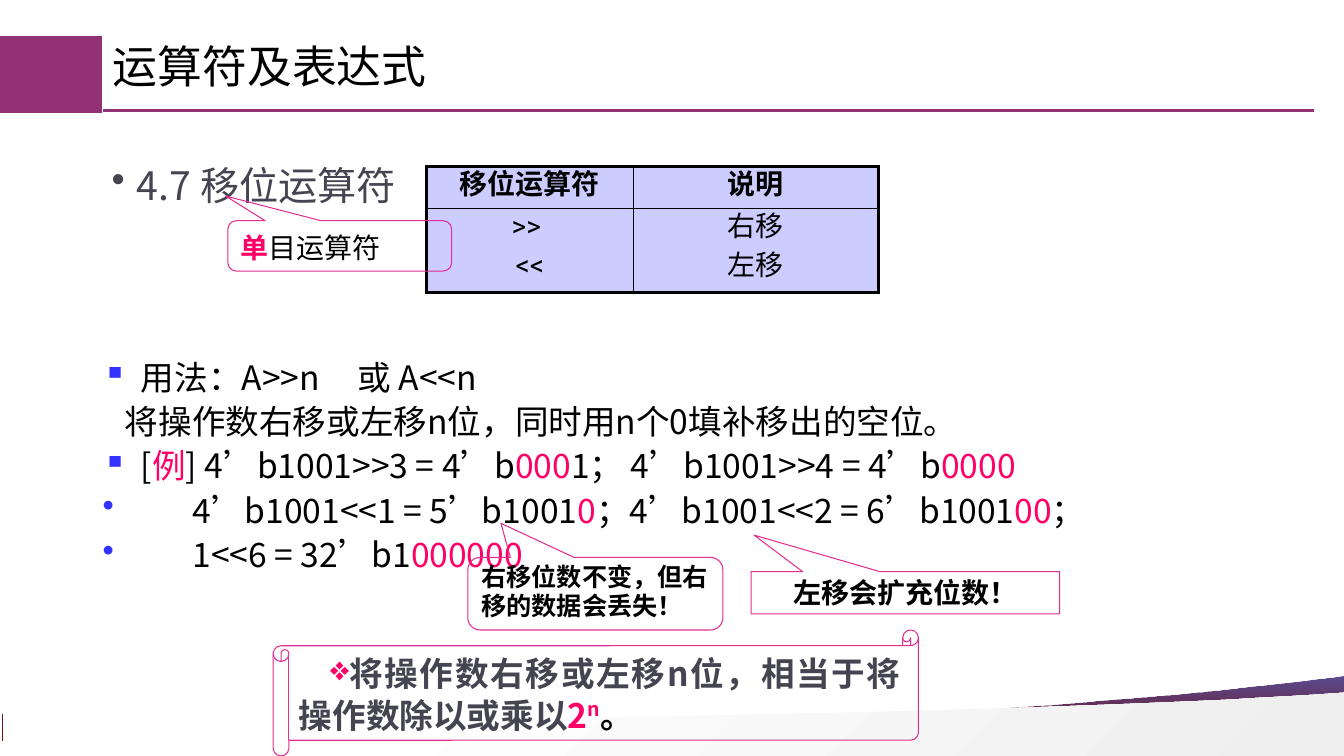
from lxml import etree
from pptx import Presentation
from pptx.dml.color import RGBColor
from pptx.enum.shapes import MSO_CONNECTOR, MSO_SHAPE
from pptx.enum.text import MSO_ANCHOR as ANCHOR, PP_ALIGN as ALIGN
from pptx.oxml.ns import qn
from pptx.util import Inches, Pt

BLACK = RGBColor(0x00, 0x00, 0x00)
WHITE = RGBColor(0xFF, 0xFF, 0xFF)
SILVER = RGBColor(0xEE, 0xEE, 0xEE)
GRAY = RGBColor(0x45, 0x45, 0x51)
PLUM = RGBColor(0x93, 0x31, 0x75)
MAROON = RGBColor(0x72, 0x08, 0x08)
INDIGO = RGBColor(0x34, 0x22, 0x75)
MAGENTA = RGBColor(0xE3, 0x2D, 0x91)
RED = RGBColor(0xFF, 0x00, 0x66)
BLUE = RGBColor(0x33, 0x33, 0xFF)
LILAC = RGBColor(0xCC, 0xCC, 0xFF)
NOTO = "Noto Sans CJK SC"
ROBOTO = "Roboto"


def sub(parent, tag, **attrs):
    el = etree.SubElement(parent, qn(tag))
    for name, value in attrs.items():
        el.set(name, str(value))
    return el


def add_run(p, text, size, color=BLACK, bold=False, font=NOTO, baseline=None):
    r = p.add_run()
    r.text = text
    f = r.font
    f.size, f.bold, f.name = Pt(size), bold, font
    f.color.rgb = color
    rPr = r._r.get_or_add_rPr()
    rPr.set("lang", "zh-CN")
    sub(rPr, "a:ea", typeface=font)
    if baseline:
        rPr.set("baseline", str(baseline))


def format_paragraph(p, align=ALIGN.LEFT, spacing=1.0, margin=0, indent=0,
                     bullet=None, bullet_color=None, tab=None):
    p.alignment, p.line_spacing = align, spacing
    pPr = p._p.get_or_add_pPr()
    pPr.set("marL", str(Inches(margin)))
    pPr.set("indent", str(Inches(indent)))
    if bullet_color is not None:
        sub(sub(pPr, "a:buClr"), "a:srgbClr", val=bullet_color)
    if bullet:
        sub(pPr, "a:buChar", char=bullet)
    if tab:
        sub(sub(pPr, "a:tabLst"), "a:tab", pos=Inches(tab), algn="l")


def add_text(s, box):
    tf = s.shapes.add_textbox(*map(Inches, box)).text_frame
    tf.word_wrap = True
    return tf


def curve(p0, p1, p2, p3, steps=24):
    def point(t):
        u = 1 - t
        return tuple(u**3 * a + 3 * u * u * t * b + 3 * u * t * t * c + t**3 * d
                     for a, b, c, d in zip(p0, p1, p2, p3))
    return [point(i / steps) for i in range(steps + 1)]


def add_wave(s, box, points, stops, angle):
    x, y = box
    builder = s.shapes.build_freeform(
        Inches(x + points[0][0]), Inches(y + points[0][1]))
    builder.add_line_segments(
        [(Inches(x + px), Inches(y + py)) for px, py in points[1:]])
    sp = builder.convert_to_shape()
    sp.shadow.inherit = False
    sp.line.fill.background()
    sp.fill.gradient()
    sp.fill.gradient_angle = angle
    for stop, (position, color) in zip(sp.fill.gradient_stops, stops):
        stop.position, stop.color.rgb = position, color
    return sp


def add_backdrop(s, box):
    x, y = box
    dark = [(13.33, 0), (13.33, 0.65), (0, 0.65), (0, 0.38), (0.01, 0.38)]
    dark += curve((0.01, 0.38), (3.01, 0.71), (8.2, 0.48), (11.19, 0.23))
    dark += curve((11.19, 0.23), (11.79, 0.18), (12.47, 0.11), (13.19, 0.02))
    sp = add_wave(s, (x, y), dark, [(0, MAROON), (1, INDIGO)], 90)
    last = list(sp._element.iter(qn("a:srgbClr")))[-1]
    sub(last, "a:alpha", val=80000)

    light = [(13.33, 0), (13.33, 0.63), (0, 0.63), (0, 0.16), (0.44, 0.18)]
    light += curve((0.44, 0.18), (3.91, 0.34), (9.1, 0.21), (12.19, 0.07))
    light += curve((12.19, 0.07), (12.46, 0.05), (12.74, 0.04), (13.04, 0.02))
    add_wave(s, (x, y + 0.17), light, [(0.26, WHITE), (1, SILVER)], 315)


def add_header(s, box):
    x, y, w, h = box
    rule_y = Inches(y + 0.74)
    rule = s.shapes.add_connector(MSO_CONNECTOR.STRAIGHT, Inches(x + 1.02),
                                  rule_y, Inches(x + w), rule_y)
    rule.line.color.rgb, rule.line.width = PLUM, Pt(2.25)
    sub(rule._element.spPr, "a:effectLst")
    block = s.shapes.add_shape(MSO_SHAPE.RECTANGLE, Inches(x), Inches(y),
                               Inches(1.01), Inches(h))
    block.shadow.inherit = False
    block.fill.solid()
    block.fill.fore_color.rgb = PLUM
    block.line.fill.background()
    p = add_text(s, (x + 1.02, y + 0.04, 11.4, 0.83)).paragraphs[0]
    format_paragraph(p, spacing=0.9)
    add_run(p, "运算符及表达式", 32)


def add_section(s, box):
    p = add_text(s, box).paragraphs[0]
    format_paragraph(p, ALIGN.JUSTIFY, 1.1, 0.25, -0.25, "•")
    p.space_before = Pt(10)
    add_run(p, "4.7 移位运算符", 28, GRAY)


def add_operator_table(s, box):
    table = s.shapes.add_table(2, 2, *map(Inches, box)).table
    for col, width in zip(table.columns, (2.05, 2.43)):
        col.width = Inches(width)
    for row, height in zip(table.rows, (0.42, 0.83)):
        row.height = Inches(height)
    rows = [[["移位运算符"], ["说明"]], [[">> ", "<<"], ["右移", "左移"]]]
    for i, row in enumerate(rows):
        for j, lines in enumerate(row):
            cell = table.cell(i, j)
            cell.margin_left = cell.margin_right = Inches(0.03)
            cell.margin_top = cell.margin_bottom = Inches(0.02)
            tcPr = cell._tc.get_or_add_tcPr()
            outer = {"a:lnL": j == 0, "a:lnR": j == 1,
                     "a:lnT": i == 0, "a:lnB": i == 1}
            for side, thick in outer.items():
                ln = sub(tcPr, side, w=Pt(2.25 if thick else 1))
                sub(sub(ln, "a:solidFill"), "a:srgbClr", val=BLACK)
            cell.fill.solid()
            cell.fill.fore_color.rgb = LILAC
            tf = cell.text_frame
            for k, text in enumerate(lines):
                p = tf.add_paragraph() if k else tf.paragraphs[0]
                p.alignment, p.space_before = ALIGN.CENTER, Pt(4)
                add_run(p, text, 20, bold=i == 0, font=ROBOTO)


def add_usage(s, box):
    tf = add_text(s, box)
    hanging = (0.38, -0.38)
    deep = (0.89, -0.89)
    lines = [
        (hanging, "▪", [("用法：A>>n\t或 A<<n", BLACK)]),
        ((0.22, 0), None, [("将操作数右移或左移n位，同时用n个0填补移出的空位。", BLACK)]),
        (hanging, "▪", [("[", BLACK), ("例", RED), ("] 4’b1001>>3 = 4’b", BLACK),
                        ("000", RED), ("1； 4’b1001>>4 = 4’b", BLACK), ("0000", RED)]),
        (deep, "•", [("4’b1001<<1 = 5’b1001", BLACK), ("0", RED),
                     ("；4’b1001<<2 = 6’b1001", BLACK), ("00", RED), ("；", BLACK)]),
        (deep, "•", [("1<<6 = 32’b1", BLACK), ("000000", RED)]),
    ]
    for k, ((margin, indent), bullet, runs) in enumerate(lines):
        p = tf.add_paragraph() if k else tf.paragraphs[0]
        format_paragraph(p, ALIGN.JUSTIFY, 1.1, margin, indent, bullet,
                         BLUE if bullet else None, None if k else 2.53)
        for text, color in runs:
            add_run(p, text, 24, color)


def add_note(s, box, kind, adjustments, runs, size, anchor=ANCHOR.BOTTOM, **layout):
    sp = s.shapes.add_shape(kind, *map(Inches, box))
    sp.shadow.inherit = False
    sp.fill.background()
    sp.line.color.rgb, sp.line.width = MAGENTA, Pt(0.75)
    for k, value in enumerate(adjustments):
        sp.adjustments[k] = value
    tf = sp.text_frame
    tf.word_wrap, tf.vertical_anchor = True, anchor
    p = tf.paragraphs[0]
    format_paragraph(p, **layout)
    for text, color, bold, *baseline in runs:
        add_run(p, text, size, color, bold, NOTO, *baseline)


def main():
    prs = Presentation()
    prs.slide_width, prs.slide_height = Inches(13.33), Inches(7.5)
    s = prs.slides.add_slide(prs.slide_layouts[6])
    add_backdrop(s, (0.03, 6.7))
    add_header(s, (0, 0.36, 13.03, 0.76))
    add_section(s, (1.01, 1.5, 10.97, 5.16))
    add_operator_table(s, (4.23, 1.65, 4.48, 1.25))
    add_note(s, (2.26, 2.19, 2.22, 0.5), MSO_SHAPE.ROUNDED_RECTANGULAR_CALLOUT,
             (-0.51, -0.99, 0.17), [("单", RED, True), ("目运算符", BLACK, False)], 20)
    add_note(s, (7.45, 5.67, 3.06, 0.42), MSO_SHAPE.RECTANGULAR_CALLOUT,
             (-0.49, -1.36), [("左移会扩充位数！", BLACK, True)], 20, align=ALIGN.CENTER)
    add_usage(s, (0.92, 3.45, 12.03, 2.59))
    add_note(s, (2.71, 6.25, 6.4, 1.25), MSO_SHAPE.HORIZONTAL_SCROLL, (0.125,),
             [("将操作数右移或左移n位，相当于将操作数除以或乘以", GRAY, True),
              ("2", RED, True), ("n", RED, True, 36000), ("。", BLACK, True)],
             24, ANCHOR.MIDDLE, align=ALIGN.JUSTIFY, spacing=1.05, indent=0.31,
             bullet="❖", bullet_color=RED)
    add_note(s, (4.64, 5.53, 2.53, 0.72), MSO_SHAPE.ROUNDED_RECTANGULAR_CALLOUT,
             (-0.37, -0.97, 0.17), [("右移位数不变，但右移的数据会丢失！", BLACK, True)],
             18, spacing=0.95)
    prs.save("out.pptx")


if __name__ == "__main__":
    main()
